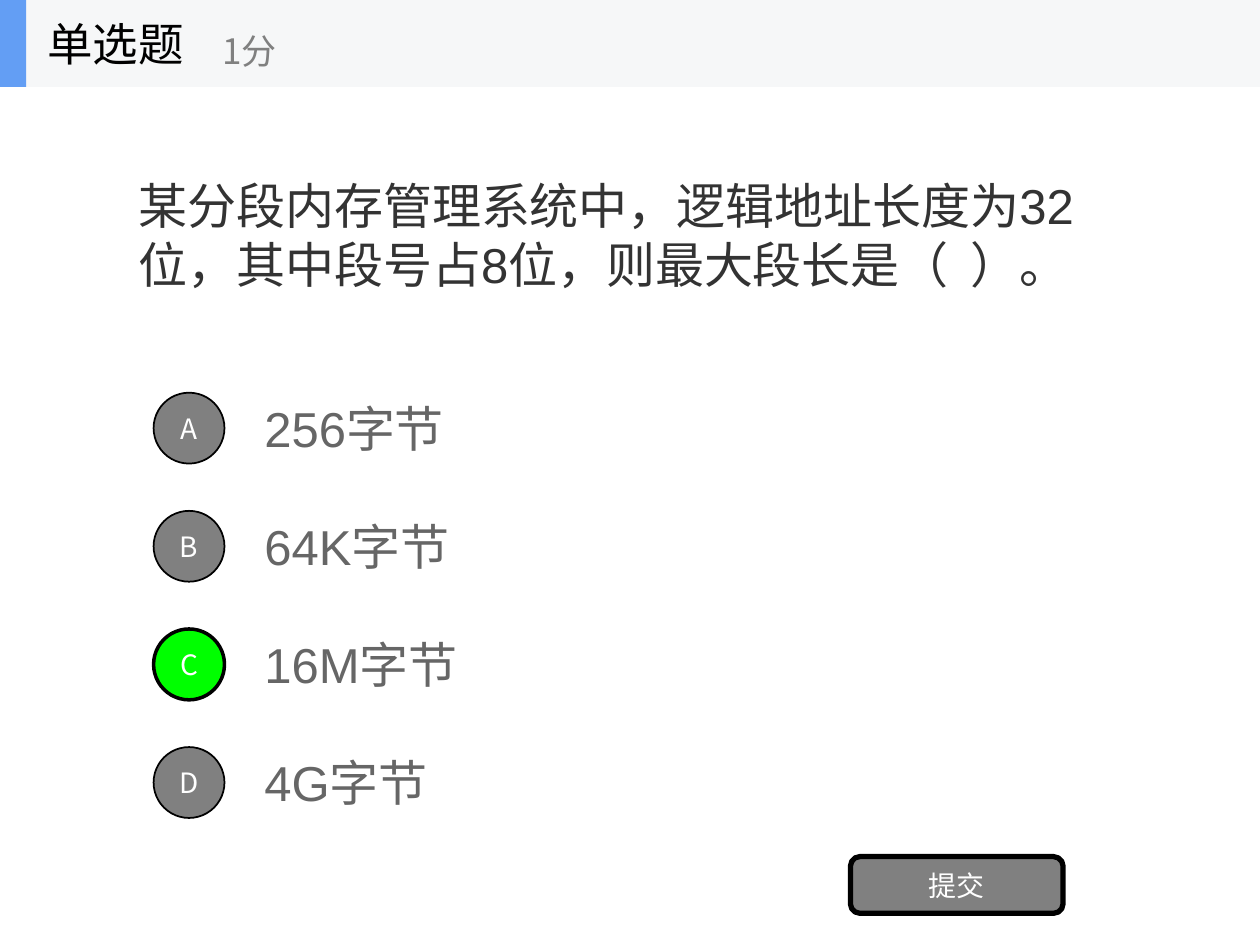
"""Build a single-choice quiz slide with four options and a submit button."""
from lxml import etree
from pptx import Presentation
from pptx.dml.color import RGBColor
from pptx.enum.shapes import MSO_SHAPE as SHAPE
from pptx.enum.text import MSO_ANCHOR as ANCHOR, PP_ALIGN as ALIGN
from pptx.oxml.ns import qn
from pptx.util import Pt

BLACK = RGBColor(0x00, 0x00, 0x00)
WHITE = RGBColor(0xFF, 0xFF, 0xFF)
GRAY = RGBColor(0x80, 0x80, 0x80)
GREEN = RGBColor(0x00, 0xFF, 0x00)
BLUE = RGBColor(0x63, 0x9E, 0xF4)
PALE = RGBColor(0xF6, 0xF7, 0xF8)
QUESTION = RGBColor(0x33, 0x33, 0x33)
OPTION = RGBColor(0x66, 0x66, 0x66)
CJK = "Noto Sans CJK SC"


def write(sp, text, size, color, font=CJK, align=ALIGN.LEFT):
    tf = sp.text_frame
    tf.text = text
    tf.word_wrap = True
    tf.vertical_anchor = ANCHOR.MIDDLE
    p = tf.paragraphs[0]
    p.alignment = align
    for r in p.runs:
        r.font.size = Pt(size)
        r.font.name = font
        r.font.color.rgb = color
        etree.SubElement(r.font._element, qn("a:ea"), typeface=CJK)


def add_box(shapes, kind, box, fill, line_width=0):
    sp = shapes.add_shape(kind, *map(Pt, box))
    sp.shadow.inherit = False
    sp.fill.solid()
    sp.fill.fore_color.rgb = fill
    if line_width:
        sp.line.color.rgb = BLACK
        sp.line.width = Pt(line_width)
    else:
        sp.line.fill.background()
    return sp


prs = Presentation()
prs.slide_width, prs.slide_height = Pt(720), Pt(540)
s = prs.slides.add_slide(prs.slide_layouts[5])

title = s.shapes.title
title.left, title.top, title.width, title.height = Pt(72), Pt(50), Pt(576), Pt(168)
write(title, "某分段内存管理系统中，逻辑地址长度为32位，其中段号占8位，则最大段长是（  ）。",
      28, QUESTION, "Arial")

options = [("A", "256字节"), ("B", "64K字节"), ("C", "16M字节"), ("D", "4G字节")]
answer = "C"
for i, (letter, text) in enumerate(options):
    top = 219.4 + i * 67.5
    sp = s.shapes.add_textbox(Pt(144), Pt(top), Pt(504), Pt(50.4))
    write(sp, text, 28, OPTION, "Arial")
    fill, line_width = (GREEN, 2) if letter == answer else (GRAY, 1)
    sp = add_box(s.shapes, SHAPE.OVAL, (87.75, top + 5, 40.5, 40.5), fill, line_width)
    write(sp, letter, 16, WHITE, align=ALIGN.CENTER)

button = add_box(s.shapes, SHAPE.ROUNDED_RECTANGLE, (486, 489.5, 121.5, 32.4), GRAY, 3)
write(button, "提交", 16, WHITE, align=ALIGN.CENTER)

header = s.shapes.add_group_shape()
add_box(header.shapes, SHAPE.RECTANGLE, (0, 0, 720, 49.7), PALE)
add_box(header.shapes, SHAPE.RECTANGLE, (0, 0, 15, 49.7), BLUE)
labels = [("单选题", 26, BLACK, (20, 0, 150, 49.7)), ("1分", 20, GRAY, (120, 8.5, 180, 40.5))]
for text, size, color, box in labels:
    sp = header.shapes.add_textbox(*map(Pt, box))
    write(sp, text, size, color)

prs.save("out.pptx")
